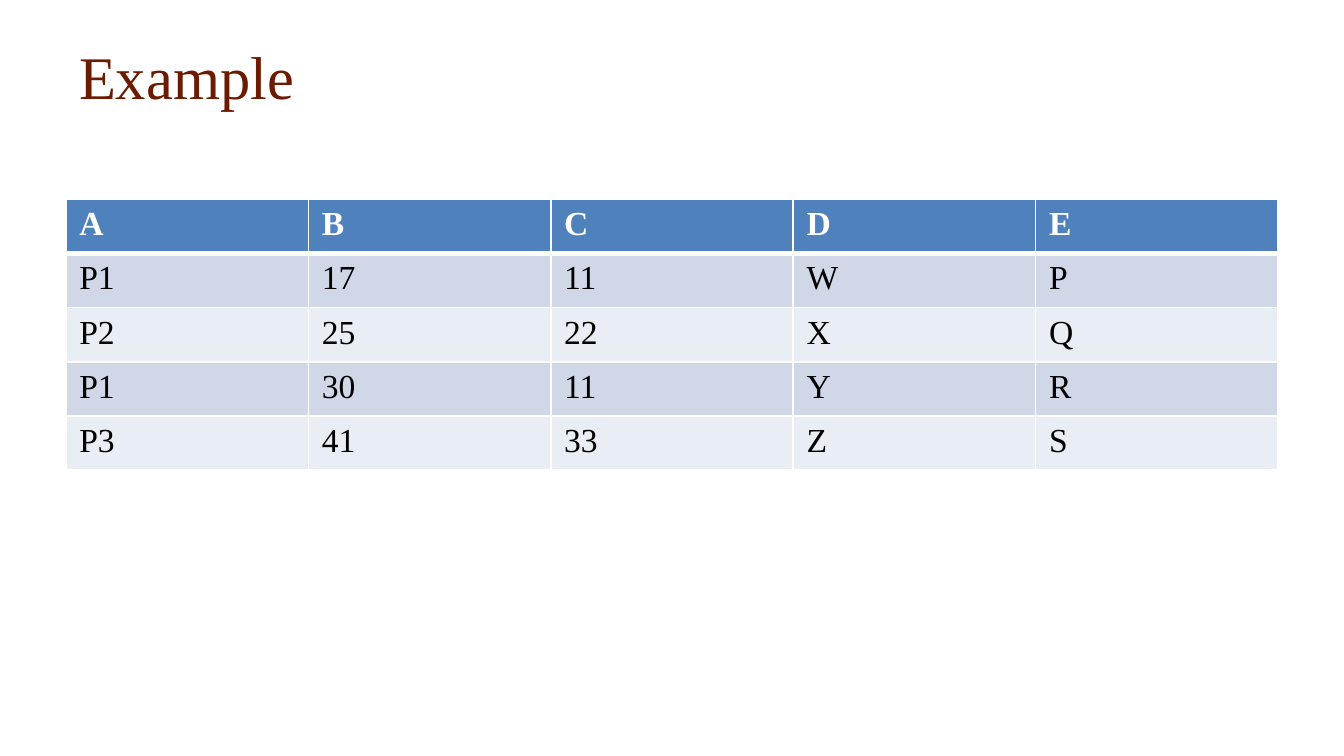
from dataclasses import dataclass

from lxml import etree
from pptx import Presentation
from pptx.dml.color import RGBColor
from pptx.enum.text import MSO_ANCHOR
from pptx.oxml.ns import qn
from pptx.util import Inches, Pt

MIDDLE = MSO_ANCHOR.MIDDLE
FONT = "Times New Roman"
COLORS = {
    "title": "6C1A00",
    "head": "4F81BD",
    "dark": "D0D8E8",
    "light": "E9EDF4",
    "white": "FFFFFF",
    "black": "000000",
}
ROWS = ["A B C D E", "P1 17 11 W P", "P2 25 22 X Q", "P1 30 11 Y R", "P3 41 33 Z S"]
LEFT, TOP, WIDTH, HEIGHT = 0.49, 1.48, 9.02, 2.02
LAST = 0.38


@dataclass
class Style:
    fill: str
    ink: str
    bold: bool
    above: float
    below: float


HEAD = Style("head", "white", True, 1, 3)
FIRST = Style("dark", "black", False, 3, 1)
DARK = Style("dark", "black", False, 1, 1)
LIGHT = Style("light", "black", False, 1, 1)
STYLES = [HEAD, FIRST, LIGHT, DARK, LIGHT]


def color(name: str) -> RGBColor:
    return RGBColor.from_string(COLORS[name])


def write(frame, text: str, size: float, ink: str, bold: bool = False) -> None:
    frame.text = text
    font = frame.paragraphs[0].runs[0].font
    font.name, font.size, font.bold = FONT, Pt(size), bold
    font.color.rgb = color(ink)


def add_border(cell, side: str, width: float) -> None:
    props = cell._tc.get_or_add_tcPr()
    line = etree.SubElement(props, qn(f"a:ln{side}"), w=str(Pt(width)))
    fill = etree.SubElement(line, qn("a:solidFill"))
    etree.SubElement(fill, qn("a:srgbClr"), val=COLORS["white"])


def draw_cell(cell, text: str, style: Style) -> None:
    """Borders come before the fill, as the schema orders them."""
    for side, width in zip("LRTB", (1, 1, style.above, style.below)):
        add_border(cell, side, width)
    cell.fill.solid()
    cell.fill.fore_color.rgb = color(style.fill)
    write(cell.text_frame, text, 18, style.ink, style.bold)


def draw_title(slide, text: str) -> None:
    box = slide.shapes.add_textbox(Inches(LEFT), Inches(0.14), Inches(WIDTH), Inches(0.84))
    frame = box.text_frame
    frame.word_wrap = True
    frame.vertical_anchor = MIDDLE
    write(frame, text, 32.4, "title")


def draw_table(slide) -> None:
    data = [row.split() for row in ROWS]
    count = len(data[0])
    table = slide.shapes.add_table(
        len(data), count, Inches(LEFT), Inches(TOP), Inches(WIDTH), Inches(HEIGHT)
    ).table
    for column in table.columns:
        column.width = Inches(WIDTH / count)
    for r, (texts, style) in enumerate(zip(data, STYLES)):
        table.rows[r].height = Inches(HEIGHT / len(data))
        for c, text in enumerate(texts):
            draw_cell(table.cell(r, c), text, style)
    table.rows[len(data) - 1].height = Inches(LAST)


def main() -> None:
    deck = Presentation()
    deck.slide_width = Inches(10)
    deck.slide_height = deck.slide_width * 9 // 16
    slide = deck.slides.add_slide(deck.slide_layouts[6])
    draw_title(slide, "Example")
    draw_table(slide)
    deck.save("out.pptx")


if __name__ == "__main__":
    main()
